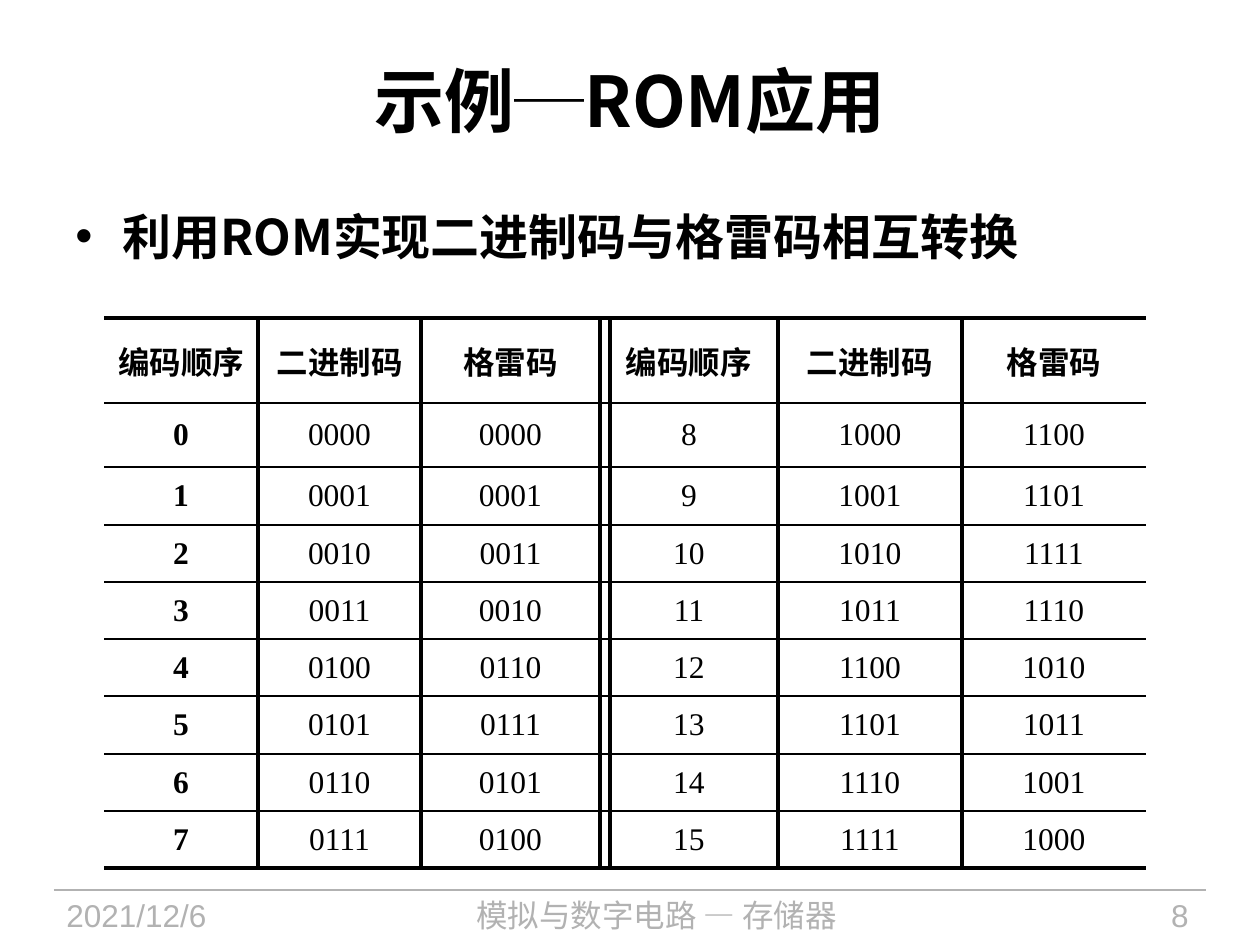
from lxml import etree
from pptx import Presentation
from pptx import util as u
from pptx.dml.color import RGBColor
from pptx.enum import shapes, text
from pptx.oxml import ns

PX = 914400 / 126
BLACK = RGBColor(0x00, 0x00, 0x00)
GRAY = RGBColor(0xB2, 0xB2, 0xB2)
CJK = "Noto Sans CJK SC"
LEFT, CENTER, RIGHT = text.PP_ALIGN.LEFT, text.PP_ALIGN.CENTER, text.PP_ALIGN.RIGHT
TOP, MIDDLE = text.MSO_ANCHOR.TOP, text.MSO_ANCHOR.MIDDLE


def px(n):
    return u.Emu(round(n * PX))


def write(tf, content, size, font, color, bold, align):
    p = tf.paragraphs[0]
    p.text = content
    p.alignment = align
    r = p.runs[0]
    r.font.size = u.Pt(size)
    r.font.bold = bold
    r.font.color.rgb = color
    r.font.name = font
    ea = etree.SubElement(r._r.get_or_add_rPr(), ns.qn("a:ea"))
    ea.set("typeface", CJK)
    return p


prs = Presentation()
prs.slide_width, prs.slide_height = px(1260), px(945)
s = prs.slides.add_slide(prs.slide_layouts[6])

labels = [
    ("2021/12/6", 54, 890, 237, 55, 18, "Arial", GRAY, False, LEFT, TOP),
    ("模拟与数字电路 — 存储器", 302, 890, 709, 55, 18, CJK, GRAY, False, CENTER, TOP),
    ("8", 1033, 890, 168, 55, 18, "Arial", GRAY, False, RIGHT, TOP),
    ("示例─ROM应用", 63, 21, 1134, 158, 40, CJK, BLACK, True, CENTER, MIDDLE),
    ("利用ROM实现二进制码与格雷码相互转换", 63, 200, 1134, 679, 28, CJK, BLACK, True, LEFT, TOP),
]
for content, x, y, w, h, size, font, color, bold, align, anchor in labels:
    tf = s.shapes.add_textbox(px(x), px(y), px(w), px(h)).text_frame
    tf.word_wrap = True
    tf.vertical_anchor = anchor
    p = write(tf, content, size, font, color, bold, align)

pPr = p._p.get_or_add_pPr()
pPr.set("marL", str(px(47)))
pPr.set("indent", str(px(-47)))
etree.SubElement(pPr, ns.qn("a:buFont")).set("typeface", "Arial")
etree.SubElement(pPr, ns.qn("a:buChar")).set("char", "•")

rows = [["编码顺序", "二进制码", "格雷码"] * 2]
for n in range(8):
    rows.append([t for k in (n, n + 8) for t in (str(k), f"{k:04b}", f"{k ^ k >> 1:04b}")])
widths = [154, 163, 179, 178, 184, 184]
heights = [85, 64, 58, 57, 57, 57, 58, 57, 57]
table = s.shapes.add_table(len(rows), len(widths), px(104), px(318),
                           px(sum(widths)), px(sum(heights))).table
table.first_row = table.horz_banding = False
for col, w in zip(table.columns, widths):
    col.width = px(w)
for row, h in zip(table.rows, heights):
    row.height = px(h)

for i, row in enumerate(rows):
    for j, content in enumerate(row):
        cell = table.cell(i, j)
        cell.vertical_anchor = MIDDLE
        cell.fill.background()
        write(cell.text_frame, content, 18, "Times New Roman", BLACK, i == 0 or j == 0, CENTER)
        borders = {
            "lnL": 2.25 if j else 0,
            "lnR": 2.25 if j < len(widths) - 1 else 0,
            "lnT": 1 if i else 2.25,
            "lnB": 1 if i < len(rows) - 1 else 2.25,
        }
        tcPr = cell._tc.get_or_add_tcPr()
        for k, (tag, width) in enumerate(borders.items()):
            ln = etree.Element(ns.qn(f"a:{tag}"), w=str(u.Pt(width)))
            if width:
                fill = etree.SubElement(ln, ns.qn("a:solidFill"))
                etree.SubElement(fill, ns.qn("a:srgbClr")).set("val", str(BLACK))
            else:
                etree.SubElement(ln, ns.qn("a:noFill"))
            tcPr.insert(k, ln)

lines = [(54, 890, 1206, 890, GRAY, 0.75), (610, 318, 610, 869, BLACK, 2.25)]
for x1, y1, x2, y2, color, width in lines:
    sp = s.shapes.add_connector(shapes.MSO_CONNECTOR.STRAIGHT, px(x1), px(y1), px(x2), px(y2))
    sp.line.color.rgb = color
    sp.line.width = u.Pt(width)
    etree.SubElement(sp._element.spPr, ns.qn("a:effectLst"))

prs.save("out.pptx")
